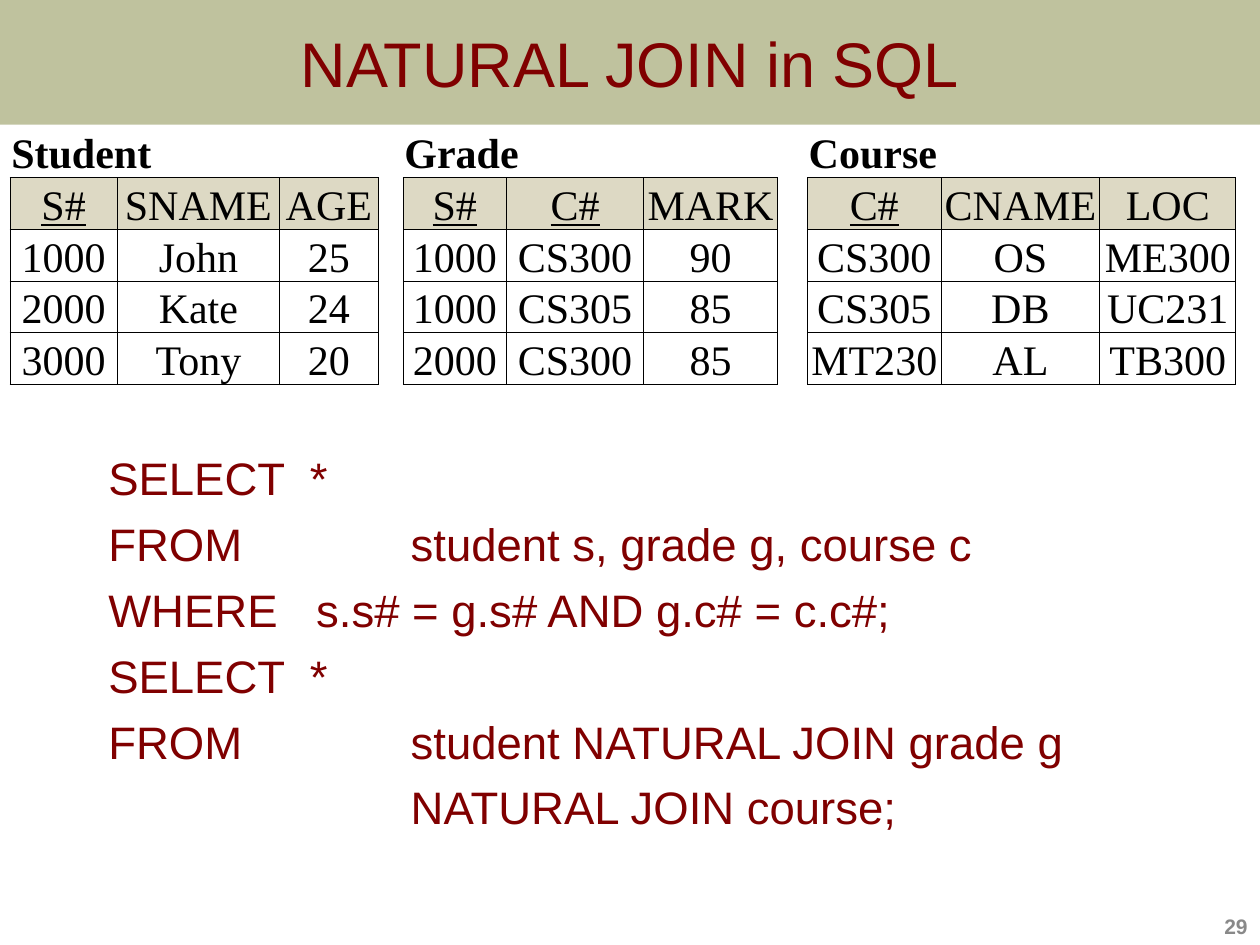
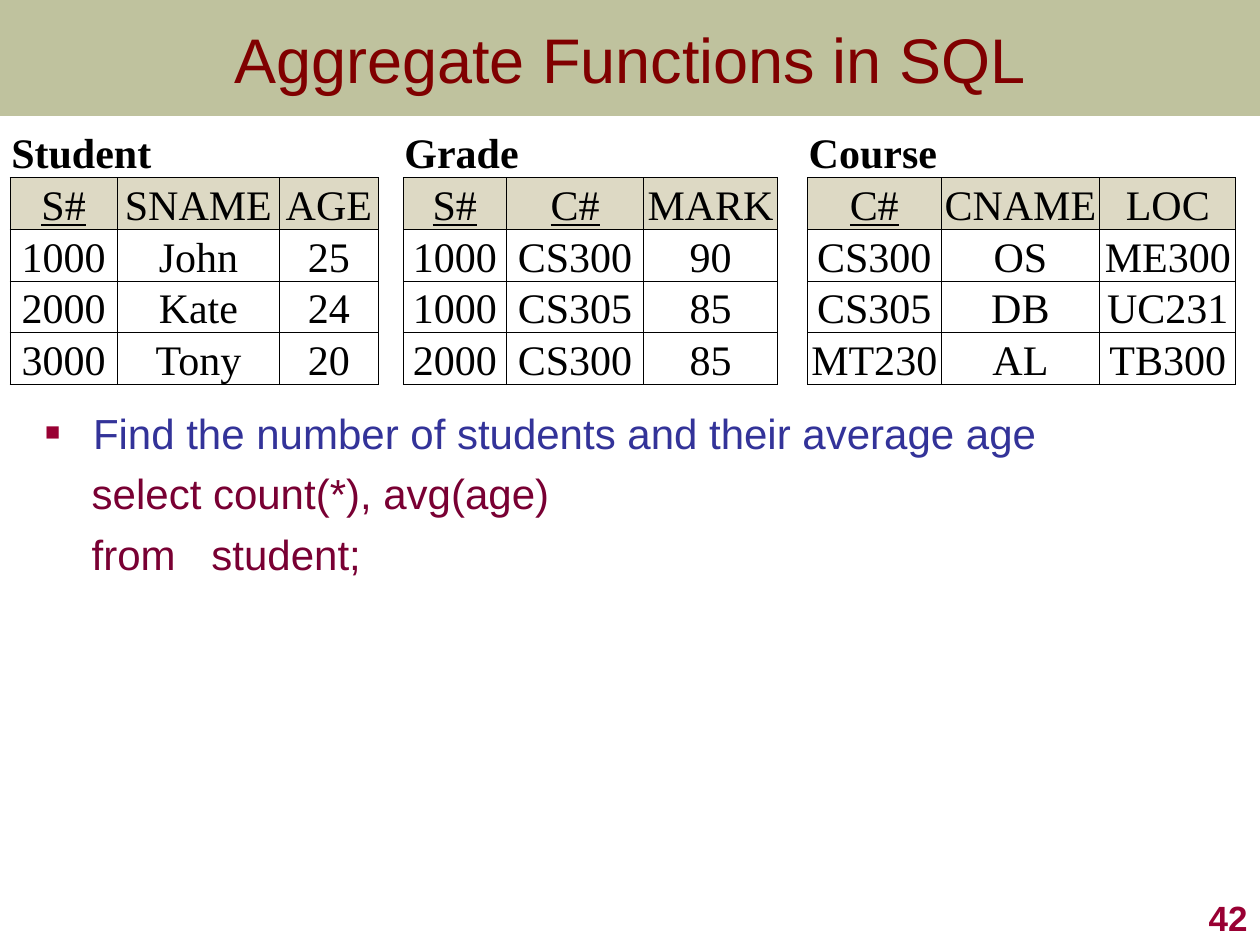
from dataclasses import dataclass

from lxml.etree import SubElement
from pptx import Presentation
from pptx.dml.color import RGBColor
from pptx.enum.shapes import MSO_SHAPE
from pptx.enum.text import MSO_ANCHOR as Anchor, PP_ALIGN as Align
from pptx.oxml.ns import qn
from pptx.slide import Slide
from pptx.table import _Cell as Cell
from pptx.util import Inches, Pt

OLIVE = RGBColor(0x6E, 0x75, 0x24)
MAROON = RGBColor(0x80, 0x00, 0x00)
WINE = RGBColor(0x79, 0x00, 0x33)
CRIMSON = RGBColor(0x99, 0x00, 0x33)
INDIGO = RGBColor(0x33, 0x33, 0x99)
GRAY = RGBColor(0x89, 0x89, 0x89)
BEIGE = RGBColor(0xDD, 0xD9, 0xC4)
BLACK = RGBColor(0x00, 0x00, 0x00)
WHITE = RGBColor(0xFF, 0xFF, 0xFF)

SANS, SERIF = "Arial", "Times New Roman"
KEY_COLUMNS = ("S#", "C#")
ROW_HEIGHT = 0.38
ROW_COUNT = 5


@dataclass(frozen=True)
class Relation:
    name: str
    widths: tuple[float, ...]
    rows: tuple[tuple[str, ...], ...]
    gap_after: float = 0


@dataclass(frozen=True)
class Line:
    text: str
    color: RGBColor
    tab: float = 0
    bullet: bool = False


@dataclass(frozen=True)
class Body:
    left: float
    top: float
    width: float
    height: float
    inset: float
    size: float
    space: float
    lines: tuple[Line, ...]


@dataclass(frozen=True)
class Page:
    title: str
    band_height: float
    number: str
    number_size: float
    number_color: RGBColor
    body: Body


RELATIONS = (
    Relation("Student", (0.85, 1.29, 0.78), (
        ("S#", "SNAME", "AGE"),
        ("1000", "John", "25"),
        ("2000", "Kate", "24"),
        ("3000", "Tony", "20"),
    ), 0.2),
    Relation("Grade", (0.82, 1.09, 1.06), (
        ("S#", "C#", "MARK"),
        ("1000", "CS300", "90"),
        ("1000", "CS305", "85"),
        ("2000", "CS300", "85"),
    ), 0.24),
    Relation("Course", (1.06, 1.26, 1.08), (
        ("C#", "CNAME", "LOC"),
        ("CS300", "OS", "ME300"),
        ("CS305", "DB", "UC231"),
        ("MT230", "AL", "TB300"),
    )),
)

PAGES = (
    Page("NATURAL JOIN in SQL", 0.99, "29", 12, GRAY, Body(
        0.26, 3.48, 9.07, 3.02, 0.6, 26, 6.5, (
            Line("SELECT\t*", MAROON, 1.6),
            Line("FROM\tstudent s, grade g, course c", MAROON, 2.4),
            Line("WHERE\ts.s# = g.s# AND g.c# = c.c#;", MAROON, 1.65),
            Line("SELECT\t*", MAROON, 1.6),
            Line("FROM\tstudent NATURAL JOIN grade g", MAROON, 2.4),
            Line("\tNATURAL JOIN course;", MAROON, 2.4),
        ))),
    Page("Aggregate Functions in SQL", 0.92, "42", 20, CRIMSON, Body(
        0.26, 3.14, 9.49, 4.35, 0.1, 24, 5.8, (
            Line("Find the number of students and their average age", INDIGO, bullet=True),
            Line("    select count(*), avg(age)", WINE),
            Line("    from\tstudent;", WINE, 1.32),
        ))),
)


def style(paragraph, name: str, size: float, color: RGBColor, bold: bool = False) -> None:
    font = paragraph.font
    font.name, font.size, font.bold = name, Pt(size), bold
    font.color.rgb = color


def add_title(slide: Slide, text: str, height: float) -> None:
    band = slide.shapes.add_shape(MSO_SHAPE.RECTANGLE, 0, 0, Inches(10), Inches(height))
    band.shadow.inherit = False
    band.fill.solid()
    band.fill.fore_color.rgb = OLIVE
    color = band.element.spPr.find(f"{qn('a:solidFill')}/{qn('a:srgbClr')}")
    SubElement(color, qn("a:alpha"), val="44000")
    band.line.fill.background()
    frame = band.text_frame
    frame.vertical_anchor = Anchor.MIDDLE
    paragraph = frame.paragraphs[0]
    paragraph.text, paragraph.alignment = text, Align.CENTER
    style(paragraph, SANS, 36, MAROON)


def add_number(slide: Slide, page: Page) -> None:
    box = slide.shapes.add_textbox(Inches(7.92), Inches(7), Inches(2.08), Inches(0.5))
    frame = box.text_frame
    frame.word_wrap, frame.vertical_anchor = True, Anchor.BOTTOM
    paragraph = frame.paragraphs[0]
    paragraph.text, paragraph.alignment = page.number, Align.RIGHT
    style(paragraph, SANS, page.number_size, page.number_color, True)


def add_bullet(paragraph) -> None:
    properties = paragraph._p.get_or_add_pPr()
    properties.set("marL", str(Inches(0.38)))
    properties.set("indent", str(-Inches(0.38)))
    color = SubElement(properties, qn("a:buClr"))
    SubElement(color, qn("a:srgbClr"), val=str(CRIMSON))
    SubElement(properties, qn("a:buSzPct"), val="60000")
    SubElement(properties, qn("a:buFont"), typeface=SANS)
    SubElement(properties, qn("a:buChar"), char="■")


def add_tab(paragraph, position: float) -> None:
    tabs = SubElement(paragraph._p.get_or_add_pPr(), qn("a:tabLst"))
    SubElement(tabs, qn("a:tab"), pos=str(Inches(position)), algn="l")


def add_body(slide: Slide, body: Body) -> None:
    box = slide.shapes.add_textbox(
        Inches(body.left), Inches(body.top), Inches(body.width), Inches(body.height))
    frame = box.text_frame
    frame.word_wrap = True
    frame.margin_left, frame.margin_right = Inches(body.inset), 0
    frame.margin_top = Inches(0.09)
    for index, line in enumerate(body.lines):
        paragraph = frame.add_paragraph() if index else frame.paragraphs[0]
        paragraph.text = line.text
        if line.bullet:
            add_bullet(paragraph)
        if line.tab:
            add_tab(paragraph, line.tab)
        if index:
            paragraph.space_before = Pt(body.space)
        style(paragraph, SANS, body.size, line.color)


def format_cell(cell: Cell, fill: RGBColor, sides: str) -> None:
    cell.margin_left = cell.margin_right = cell.margin_top = Inches(0.01)
    cell.margin_bottom = 0
    cell.vertical_anchor = Anchor.BOTTOM
    properties = cell._tc.get_or_add_tcPr()
    for side in "LRTB":
        border = SubElement(properties, qn(f"a:ln{side}"), w=str(Pt(0.5)))
        if side in sides:
            solid = SubElement(border, qn("a:solidFill"))
            SubElement(solid, qn("a:srgbClr"), val=str(BLACK))
        else:
            SubElement(border, qn("a:noFill"))
    cell.fill.solid()
    cell.fill.fore_color.rgb = fill


def write_cell(cell: Cell, text: str, alignment: Align, bold: bool = False) -> None:
    paragraph = cell.text_frame.paragraphs[0]
    paragraph.text, paragraph.alignment = text, alignment
    style(paragraph, SERIF, 24, BLACK, bold)
    paragraph.font.underline = text in KEY_COLUMNS


def fill_relation(table, relation: Relation, first: int) -> None:
    for offset in range(len(relation.widths)):
        format_cell(table.cell(0, first + offset), WHITE, "B")
    heading = table.cell(0, first)
    heading.merge(table.cell(0, first + len(relation.widths) - 1))
    write_cell(heading, relation.name, Align.LEFT, True)
    for row, values in enumerate(relation.rows, 1):
        for column, value in enumerate(values, first):
            cell = table.cell(row, column)
            format_cell(cell, BEIGE if row == 1 else WHITE, "LRTB")
            write_cell(cell, value, Align.CENTER)


def add_relations(slide: Slide) -> None:
    widths = [width for relation in RELATIONS
              for width in (*relation.widths, relation.gap_after) if width]
    table = slide.shapes.add_table(
        ROW_COUNT, len(widths), Inches(0.08), Inches(1),
        Inches(sum(widths)), Inches(ROW_HEIGHT * ROW_COUNT)).table
    table.first_row = table.horz_banding = False
    for column, width in zip(table.columns, widths):
        column.width = Inches(width)
    first = 0
    for relation in RELATIONS:
        fill_relation(table, relation, first)
        first += len(relation.widths)
        if relation.gap_after:
            for row in range(ROW_COUNT):
                format_cell(table.cell(row, first), WHITE, "LR" if row else "")
            first += 1


def main() -> None:
    presentation = Presentation()
    presentation.slide_width, presentation.slide_height = Inches(10), Inches(7.5)
    for page in PAGES:
        slide = presentation.slides.add_slide(presentation.slide_layouts[6])
        add_title(slide, page.title, page.band_height)
        add_body(slide, page.body)
        add_number(slide, page)
        add_relations(slide)
    presentation.save("out.pptx")


if __name__ == "__main__":
    main()
